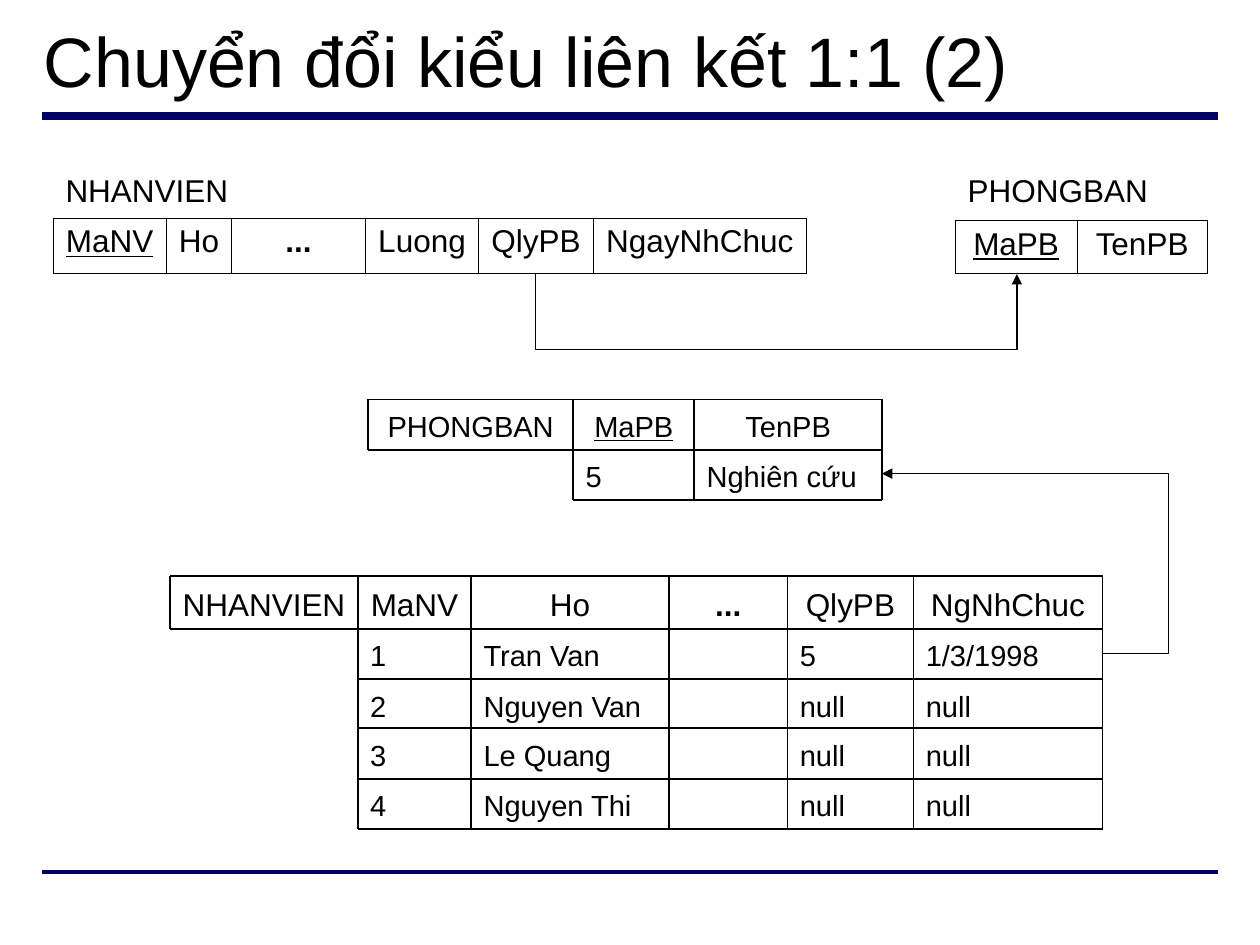
import itertools

import pptx
import pptx.dml.color
import pptx.enum.shapes
import pptx.enum.text
import pptx.oxml
import pptx.oxml.ns
import pptx.util

Inches = pptx.util.Inches
Pt = pptx.util.Pt
ALIGN = pptx.enum.text.PP_ALIGN
ANCHOR = pptx.enum.text.MSO_ANCHOR
CONNECTOR = pptx.enum.shapes.MSO_CONNECTOR
RECTANGLE = pptx.enum.shapes.MSO_SHAPE.RECTANGLE

FONT = "Arial"
BLACK = "000000"
WHITE = "FFFFFF"
NAVY = "000066"


def color(hex_string):
    return pptx.dml.color.RGBColor.from_string(hex_string)


def add_text(paragraph, text, size, alignment=ALIGN.LEFT, underline=False):
    paragraph.alignment = alignment
    run = paragraph.add_run()
    run.text = text
    run.font.name = FONT
    run.font.size = Pt(size)
    run.font.bold = text == "..."
    run.font.underline = underline
    run.font.color.rgb = color(BLACK)


def add_title(slide, text, left, top, width, height):
    box = slide.shapes.add_textbox(Inches(left), Inches(top), Inches(width), Inches(height))
    frame = box.text_frame
    frame.word_wrap = True
    frame.vertical_anchor = ANCHOR.MIDDLE
    add_text(frame.paragraphs[0], text, 40)


def add_line(slide, kind, start, end, hex_string, weight):
    points = [Inches(value) for value in (*start, *end)]
    connector = slide.shapes.add_connector(kind, *points)
    connector.line.color.rgb = color(hex_string)
    connector.line.width = Pt(weight)
    properties = connector._element.spPr
    properties.append(pptx.oxml.parse_xml(f'<a:effectLst {pptx.oxml.ns.nsdecls("a")}/>'))
    return connector


def add_elbow_arrow(slide, start, end, bend):
    """Draw an elbow arrow; bend is the turning point as a share of its width."""
    connector = add_line(slide, CONNECTOR.ELBOW, start, end, BLACK, 0.75)
    namespace = pptx.oxml.ns.nsdecls("a")
    guides = connector._element.spPr.prstGeom.get_or_add_avLst()
    guides.append(pptx.oxml.parse_xml(
        f'<a:gd {namespace} name="adj1" fmla="val {round(bend * 100000)}"/>'))
    connector.line._get_or_add_ln().append(pptx.oxml.parse_xml(
        f'<a:tailEnd {namespace} type="triangle"/>'))
    return connector


def add_arrow_below(slide, start_x, end_x, y, drop):
    """Draw an arrow that leaves downward and comes back up at the same height."""
    middle, half_span, thickness = (start_x + end_x) / 2, (end_x - start_x) / 2, 0.01
    connector = add_elbow_arrow(
        slide,
        (middle + thickness / 2, y - half_span),
        (middle - thickness / 2, y + half_span),
        drop / thickness)
    connector._element.spPr.xfrm.set("rot", str(270 * 60000))


def set_borders(cell, sides, weight):
    """Draw the named sides (L, R, T, B) of a cell and hide the others."""
    properties = cell._tc.get_or_add_tcPr()
    for index, side in enumerate("LRTB"):
        paint = (f'<a:solidFill><a:srgbClr val="{BLACK}"/></a:solidFill>'
                 if side in sides else "<a:noFill/>")
        properties.insert(index, pptx.oxml.parse_xml(
            f'<a:ln{side} {pptx.oxml.ns.nsdecls("a")} w="{Pt(weight)}">{paint}</a:ln{side}>'))


def add_schema(slide, left, top, name, attributes, widths, heights):
    """Add a relation schema: its name above one row of attributes, the key first."""
    table = slide.shapes.add_table(
        2, len(widths), Inches(left), Inches(top),
        Inches(sum(widths)), Inches(sum(heights))).table
    table.first_row = False
    table.horz_banding = False
    for row, height in zip(table.rows, heights):
        row.height = Inches(height)
    for j, (attribute, width) in enumerate(zip(attributes, widths)):
        table.columns[j].width = Inches(width)
        for i, sides in enumerate(("B", "LRTB")):
            cell = table.cell(i, j)
            cell.fill.background()
            set_borders(cell, sides, 0.45)
        cell.margin_left = cell.margin_right = Inches(0.05)
        add_text(cell.text_frame.paragraphs[0], attribute, 18, ALIGN.CENTER, j == 0)
    name_cell = table.cell(0, 0)
    name_cell.merge(table.cell(0, min(2, len(widths) - 1)))
    add_text(name_cell.text_frame.paragraphs[0], name, 18)


def add_field(slide, left, top, width, height, text, size, alignment, underline, filled):
    box = [Inches(value) for value in (left, top, width, height)]
    if filled:
        shape = slide.shapes.add_shape(RECTANGLE, *box)
        shape.shadow.inherit = False
        shape.fill.solid()
        shape.fill.fore_color.rgb = color(WHITE)
        shape.line.fill.background()
    else:
        shape = slide.shapes.add_textbox(*box)
    if text:
        frame = shape.text_frame
        frame.word_wrap = True
        frame.vertical_anchor = ANCHOR.TOP
        frame.margin_top, frame.margin_bottom = Inches(0.07), 0
        if alignment == ALIGN.CENTER:
            frame.margin_left = frame.margin_right = Inches(0.05)
        add_text(frame.paragraphs[0], text, size, alignment, underline)


def add_instance(slide, left, top, header, records, widths, heights, header_size,
                 key=None, filled=False):
    """Add a relation with records: its name stands left of the attributes."""
    xs = list(itertools.accumulate(widths, initial=left))
    ys = list(itertools.accumulate(heights, initial=top))
    for j, text in enumerate(header):
        add_field(slide, xs[j], top, widths[j], heights[0], text, header_size,
                  ALIGN.CENTER, text == key, filled)
    for i, record in enumerate(records, 1):
        for j, text in enumerate(record, 1):
            add_field(slide, xs[j], ys[i], widths[j], heights[i], text, 16.6,
                      ALIGN.LEFT, False, filled)
    for i, y in enumerate(ys):
        start = xs[0] if i < 2 else xs[1]
        add_line(slide, CONNECTOR.STRAIGHT, (start, y), (xs[-1], y), BLACK, 1)
    for j, x in enumerate(xs):
        end = ys[1] if j == 0 else ys[-1]
        add_line(slide, CONNECTOR.STRAIGHT, (x, top), (x, end), BLACK, 1)


def main():
    presentation = pptx.Presentation()
    presentation.slide_width = Inches(10)
    presentation.slide_height = Inches(7.5)
    slide = presentation.slides.add_slide(presentation.slide_layouts[6])

    for y, weight in ((0.92, 4.5), (6.92, 2.25)):
        add_line(slide, CONNECTOR.STRAIGHT, (0.33, y), (9.67, y), NAVY, weight)
    add_title(slide, "Chuyển đổi kiểu liên kết 1:1 (2)", 0.25, 0.18, 9.5, 0.58)

    add_schema(slide, 0.42, 1.33, "NHANVIEN",
               ["MaNV", "Ho", "...", "Luong", "QlyPB", "NgayNhChuc"],
               [0.9, 0.52, 1.06, 0.9, 0.91, 1.69], [0.4, 0.44])
    add_schema(slide, 7.58, 1.33, "PHONGBAN", ["MaPB", "TenPB"], [0.97, 1.03], [0.42, 0.42])
    add_arrow_below(slide, 4.25, 8.07, 2.17, 0.62)

    add_instance(slide, 2.92, 3.17, ["PHONGBAN", "MaPB", "TenPB"], [["5", "Nghiên cứu"]],
                 [1.63, 0.96, 1.49], [0.4, 0.4], 16.6, key="MaPB")
    employees = [
        ["1", "Tran Van", "", "5", "1/3/1998"],
        ["2", "Nguyen Van", "", "null", "null"],
        ["3", "Le Quang", "", "null", "null"],
        ["4", "Nguyen Thi", "", "null", "null"],
    ]
    add_instance(slide, 1.35, 4.57, ["NHANVIEN", "MaNV", "Ho", "...", "QlyPB", "NgNhChuc"],
                 employees, [1.49, 0.9, 1.57, 0.94, 1, 1.5], [0.42, 0.4, 0.39, 0.4, 0.4], 18,
                 filled=True)
    add_elbow_arrow(slide, (8.75, 5.19), (7, 3.76), -0.3)

    presentation.save("out.pptx")


if __name__ == "__main__":
    main()
